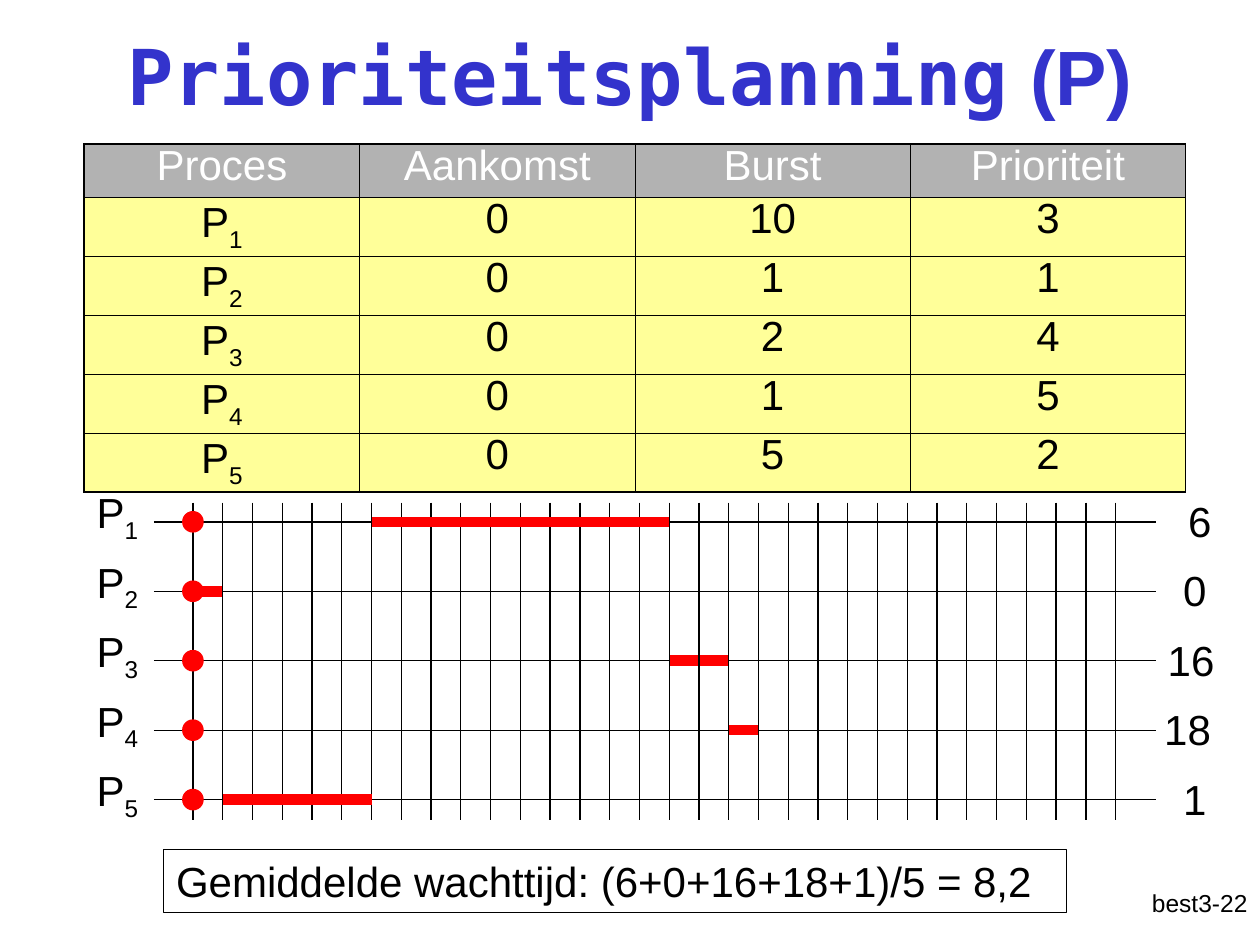
import pptx
import pptx.util
import pptx.oxml.ns
from lxml import etree
from pptx.dml.color import RGBColor
from pptx.enum.shapes import MSO_CONNECTOR, MSO_SHAPE
from pptx.enum.text import MSO_ANCHOR, MSO_AUTO_SIZE, PP_ALIGN
from pptx.util import Cm

COLORS = {"title": "3333CC", "text": "000000", "header_text": "FFFFFF",
          "header": "B2B2B2", "cell": "FFFF99", "line": "000000", "burst": "FF0000"}
qn = pptx.oxml.ns.qn


def add_line(x1, y1, x2, y2, color, width):
    """Draw a straight line without shadow; coordinates in centimetres."""
    line = page.shapes.add_connector(MSO_CONNECTOR.STRAIGHT, Cm(x1), Cm(y1), Cm(x2), Cm(y2))
    line.line.color.rgb = RGBColor.from_string(COLORS[color])
    line.line.width = pptx.util.Pt(width)
    etree.SubElement(line._element.spPr, qn("a:effectLst"))


def write(para, text, color="text", size=24, subscript=""):
    """Fill a paragraph, with an optional subscript after the text."""
    para.text = text
    if subscript:
        span = para.add_run()
        span.text = subscript
        span._r.get_or_add_rPr().set("baseline", "-25000")
    for span in para.runs:
        span.font.name = "Arial"
        span.font.size = pptx.util.Pt(size)
        span.font.color.rgb = RGBColor.from_string(COLORS[color])


deck = pptx.Presentation()
deck.slide_width, deck.slide_height = Cm(25.4), Cm(19.05)
page = deck.slides.add_slide(deck.slide_layouts[5])

# Title
title = page.shapes.title
title.left, title.top, title.width, title.height = Cm(1.9), Cm(-0.08), Cm(21.6), Cm(3.18)
title.text_frame.auto_size = MSO_AUTO_SIZE.NONE
title.text_frame.vertical_anchor = MSO_ANCHOR.MIDDLE
para = title.text_frame.paragraphs[0]
para.alignment = PP_ALIGN.CENTER
write(para, "Prioriteitsplanning", "title", 44)
para.add_run().text = " (P)"
for span, font_name in zip(para.runs, ("DejaVu Sans Mono", "Arial")):
    span.font.name = font_name
    span.font.size = pptx.util.Pt(44)
    span.font.bold = True
    span.font.color.rgb = RGBColor.from_string(COLORS["title"])

# Page number
box = page.shapes.add_textbox(Cm(20.12), Cm(17.78), Cm(5.28), Cm(1.27))
box.text_frame.word_wrap = True
para = box.text_frame.paragraphs[0]
para.alignment = PP_ALIGN.RIGHT
write(para, "best3-22", size=14)

# Process table
rows = [("Proces", "Aankomst", "Burst", "Prioriteit"),
        ("P1", "0", "10", "3"),
        ("P2", "0", "1", "1"),
        ("P3", "0", "2", "4"),
        ("P4", "0", "1", "5"),
        ("P5", "0", "5", "2")]
table = page.shapes.add_table(6, 4, Cm(1.7), Cm(2.9), Cm(22.2), Cm(7.02)).table
table.first_row = table.horz_banding = False
for column in table.columns:
    column.width = Cm(5.55)
for r, values in enumerate(rows):
    table.rows[r].height = Cm(1.19 if r else 1.07)
    for c, value in enumerate(values):
        cell = table.cell(r, c)
        para = cell.text_frame.paragraphs[0]
        para.alignment = PP_ALIGN.CENTER
        para.line_spacing = 0.8
        if r and c == 0:
            write(para, value[0], subscript=value[1])
        else:
            write(para, value, "text" if r else "header_text")
        outer = {"L": c == 0, "R": c == 3, "T": r == 0, "B": r == 5}
        for side, is_outer in outer.items():
            border = etree.SubElement(cell._tc.get_or_add_tcPr(), qn("a:ln" + side),
                                      w=str(pptx.util.Pt(1.08 if is_outer else 0.45)))
            fill = etree.SubElement(border, qn("a:solidFill"))
            etree.SubElement(fill, qn("a:srgbClr"), val=COLORS["line"])
        cell.fill.solid()
        cell.fill.fore_color.rgb = RGBColor.from_string(COLORS["cell" if r else "header"])

# Timeline: one row per process, one grid line per time unit
x_zero, unit = 3.89, 0.6
y_first, row_gap = 10.52, 1.4
dot = 0.41
# Waiting time (start of the burst), burst length, left edge of the waiting time
bursts = [(6, 10, 23.7), (0, 1, 23.6), (16, 2, 23.29), (18, 1, 23.22), (1, 5, 23.6)]
row_y = [y_first + i * row_gap for i in range(len(bursts))]
bars = [(x_zero + start * unit, y, x_zero + (start + length) * unit, y)
        for (start, length, _), y in zip(bursts, row_y)]

for y in row_y:
    add_line(3.1, y, 23.3, y, "line", 0.75)
for i in (1, 2):  # these bars lie behind the grid
    add_line(*bars[i], "burst", 6)
for tick in range(32):
    x = x_zero + tick * unit
    add_line(x, 10.13, x, 16.54, "line", 0.75)
for i in (0, 3, 4):
    add_line(*bars[i], "burst", 6)

for i, ((wait, _, wait_left), y) in enumerate(zip(bursts, row_y), start=1):
    arrival = page.shapes.add_shape(MSO_SHAPE.OVAL, Cm(x_zero - dot / 2), Cm(y - dot / 2),
                                    Cm(dot), Cm(dot))
    arrival.shadow.inherit = False
    arrival.fill.solid()
    arrival.fill.fore_color.rgb = RGBColor.from_string(COLORS["burst"])
    arrival.line.color.rgb = RGBColor.from_string(COLORS["burst"])
    arrival.line.width = pptx.util.Pt(0.75)
    for text, subscript, left, top, width, height in (
            ("P", str(i), 1.7, y - 0.83, 1.6, 1.42),
            (str(wait), "", wait_left, y - 0.66, 1.7, 1.27)):
        box = page.shapes.add_textbox(Cm(left), Cm(top), Cm(width), Cm(height))
        box.text_frame.word_wrap = True
        write(box.text_frame.paragraphs[0], text, subscript=subscript)

# Average waiting time
average = page.shapes.add_shape(MSO_SHAPE.RECTANGLE, Cm(3.3), Cm(17.13), Cm(18.2), Cm(1.27))
average.shadow.inherit = False
average.fill.background()
average.line.color.rgb = RGBColor.from_string(COLORS["line"])
average.line.width = pptx.util.Pt(0.75)
average.text_frame.word_wrap = True
average.text_frame.vertical_anchor = MSO_ANCHOR.TOP
para = average.text_frame.paragraphs[0]
para.alignment = PP_ALIGN.LEFT
write(para, "Gemiddelde wachttijd: (6+0+16+18+1)/5 = 8,2")

deck.save("out.pptx")
